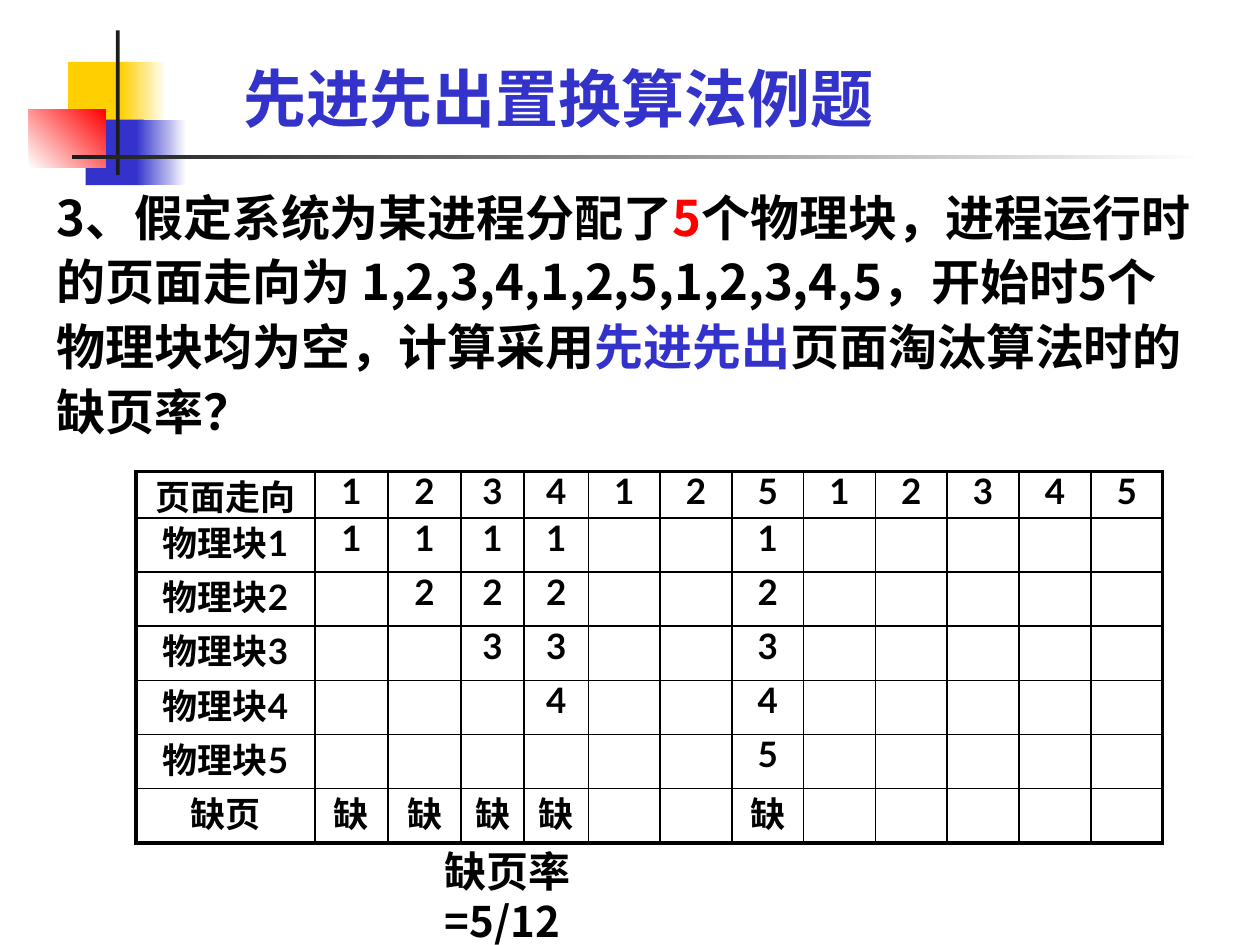
from lxml import etree
from pptx import Presentation
from pptx import util as u
from pptx.dml.color import RGBColor
from pptx.enum import shapes, text
from pptx.oxml import ns

BLACK, BLUE, RED, YELLOW, WHITE, DARK = "000000", "3333CC", "FF0000", "FFCF01", "FFFFFF", "1C1C1C"
LATIN, CHINESE = "Lato", "Noto Sans CJK SC"


def color(value):
    return RGBColor.from_string(value)


def inches(*values):
    return [u.Inches(value) for value in values]


class SlideBuilder:
    def __init__(self, presentation):
        self.slide = presentation.slides.add_slide(presentation.slide_layouts[5])

    def run(self, paragraph, wording, size, font, fill=BLACK):
        run = paragraph.add_run()
        run.text = wording
        run.font.size = u.Pt(size)
        run.font.bold = True
        run.font.name = font
        run.font.color.rgb = color(fill)
        properties = run.font._element
        east_asian = etree.SubElement(properties, ns.qn("a:ea"))
        east_asian.set("typeface", CHINESE)

    def title(self, box, wording):
        title = self.slide.shapes.title
        title.left, title.top, title.width, title.height = inches(*box)
        frame = title.text_frame
        frame.auto_size = text.MSO_AUTO_SIZE.NONE
        frame.vertical_anchor = text.MSO_ANCHOR.BOTTOM
        paragraph = frame.paragraphs[0]
        paragraph.alignment = text.PP_ALIGN.LEFT
        self.run(paragraph, wording, 36, LATIN, BLUE)

    def rectangle(self, box, fill, end=None, angle=0):
        shape = self.slide.shapes.add_shape(shapes.MSO_SHAPE.RECTANGLE, *inches(*box))
        shape.shadow.inherit = False
        shape.line.fill.background()
        if end is None:
            shape.fill.solid()
            shape.fill.fore_color.rgb = color(fill)
            return
        shape.fill.gradient()
        shape.fill.gradient_angle = angle
        for stop, value in zip(shape.fill.gradient_stops, (fill, end)):
            stop.color.rgb = color(value)

    def text_box(self, box, runs, size, spacing=1.0):
        frame = self.slide.shapes.add_textbox(*inches(*box)).text_frame
        frame.word_wrap = True
        frame.auto_size = text.MSO_AUTO_SIZE.SHAPE_TO_FIT_TEXT
        paragraph = frame.paragraphs[0]
        paragraph.line_spacing = spacing
        for wording, fill in runs:
            self.run(paragraph, wording, size, CHINESE, fill)

    def border(self, cell, side, width):
        properties = cell._tc.get_or_add_tcPr()
        line = etree.SubElement(properties, ns.qn(f"a:ln{side}"), w=str(u.Pt(width)))
        fill = etree.SubElement(line, ns.qn("a:solidFill"))
        etree.SubElement(fill, ns.qn("a:srgbClr"), val=BLACK)

    def table(self, box, rows, widths, heights):
        table = self.slide.shapes.add_table(len(rows), len(widths), *inches(*box)).table
        table.first_row = table.horz_banding = False
        for column, width in zip(table.columns, widths):
            column.width = u.Inches(width)
        for row, height in zip(table.rows, heights):
            row.height = u.Inches(height)
        last_row, last_column = len(rows) - 1, len(widths) - 1
        for i, row in enumerate(rows):
            for j, wording in enumerate(row):
                cell = table.cell(i, j)
                outer = {"L": j == 0, "R": j == last_column, "T": i == 0, "B": i == last_row}
                for side, is_outer in outer.items():
                    self.border(cell, side, 2.25 if is_outer else 1)
                cell.fill.background()
                if wording:
                    paragraph = cell.text_frame.paragraphs[0]
                    paragraph.alignment = text.PP_ALIGN.CENTER
                    paragraph.line_spacing = 0.8
                    paragraph.space_before = u.Pt(4)
                    self.run(paragraph, wording, 20, LATIN)


def fault_table(pages, block_count):
    loaded, columns = [], []
    for page in pages:
        blocks = [""] * block_count
        fault = page not in loaded
        if fault:
            loaded.append(page)
            blocks[:len(loaded)] = loaded
        columns.append([page, *blocks, "缺" if fault else ""])
    labels = ["页面走向", *(f"物理块{n}" for n in range(1, block_count + 1)), "缺页"]
    return list(zip(labels, *columns))


def main():
    presentation = Presentation()
    presentation.slide_width, presentation.slide_height = inches(10, 7.5)
    builder = SlideBuilder(presentation)

    builder.rectangle((0.54, 0.49, 0.48, 0.52), YELLOW)
    builder.rectangle((0.96, 0.49, 0.36, 0.52), YELLOW, WHITE)
    builder.rectangle((0.68, 0.95, 0.46, 0.52), BLUE)
    builder.rectangle((1.08, 0.95, 0.4, 0.52), BLUE, WHITE)
    builder.rectangle((0.23, 0.87, 0.61, 0.46), WHITE, RED, 45)
    builder.rectangle((0.92, 0.24, 0.03, 1.15), DARK)
    builder.rectangle((0.57, 1.23, 9, 0.03), DARK, WHITE)

    builder.title((1.83, 0.44, 6.71, 0.68), "先进先出置换算法例题")
    question = [
        ("3、假定系统为某进程分配了", BLACK),
        ("5", RED),
        ("个物理块，进程运行时的页面走向为 1,2,3,4,1,2,5,1,2,3,4,5，开始时5个物理块均为空，计算采用", BLACK),
        ("先进先出", BLUE),
        ("页面淘汰算法时的缺页率？", BLACK),
    ]
    builder.text_box((0.35, 1.39, 9.21, 2.16), question, 28, 1.1)

    widths = [1.42, 0.58, 0.58, 0.5, 0.51] + [0.57] * 8
    heights = [0.37] + [0.43] * 6
    builder.table((1.08, 3.74, 8.17, 2.99), fault_table("123412512345", 5), widths, heights)
    builder.text_box((3.43, 6.66, 2.05, 0.5), [("缺页率=5/12", BLACK)], 24)

    presentation.save("out.pptx")


if __name__ == "__main__":
    main()
